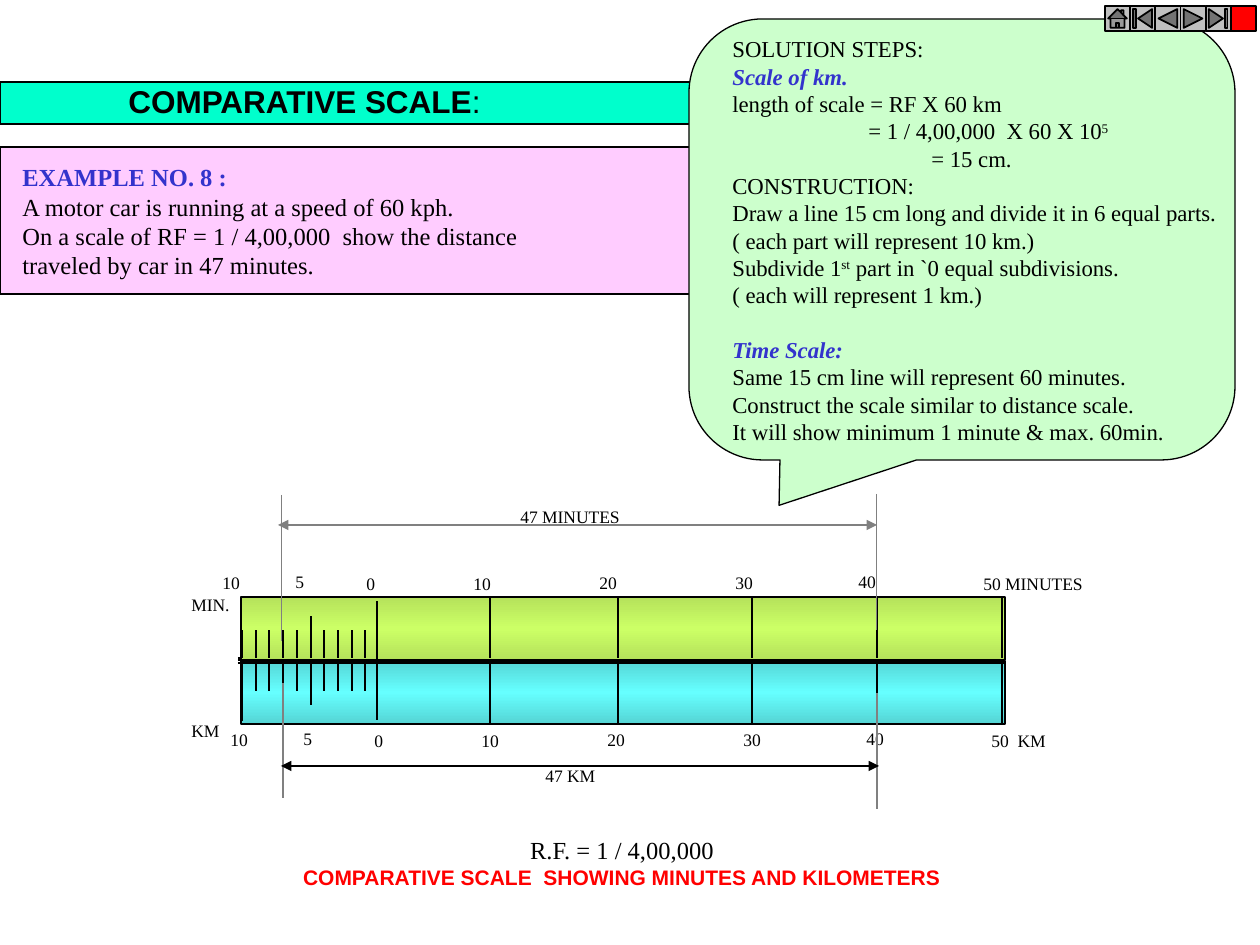
from copy import deepcopy
from dataclasses import dataclass
from typing import NamedTuple

from pptx import Presentation
from pptx.dml.color import RGBColor
from pptx.enum.shapes import MSO_CONNECTOR, MSO_SHAPE
from pptx.enum.text import MSO_AUTO_SIZE, PP_ALIGN
from pptx.oxml.ns import qn
from pptx.util import Pt
from lxml.etree import SubElement

EMU_PER_PX = 914400 / 126


@dataclass(frozen=True)
class Theme:
    serif: str = "Times New Roman"
    sans: str = "Arial"
    ink: str = "000000"
    accent: str = "3333CC"
    alert: str = "FF0000"
    muted: str = "808080"
    button: str = "C0C0C0"
    banner: str = "00FFCC"
    problem: str = "FFCCFF"
    solution: str = "CCFFCC"
    minutes: tuple = ("B5E25B", "CCFF66", "B5E25B")
    km: tuple = ("55D5D5", "66FFFF", "55D5D5")
    title_size: int = 18
    body_size: int = 14
    steps_size: int = 13
    caption_size: int = 12
    label_size: int = 10


class Box(NamedTuple):
    x: int
    y: int
    w: int
    h: int

    def inner(self, dx, dy, w, h):
        return Box(self.x + dx, self.y + dy, w, h)


THEME = Theme()
LABELS = [("10", 0, -1), ("5", 73, -2), ("0", 144, 0), ("10", 251, 0),
          ("20", 377, -1), ("30", 513, -1), ("40", 636, -2)]
MAJOR_TICKS = [249, 377, 511, 636, 761]


def px(value):
    return round(value * EMU_PER_PX)


def rgb(color):
    return RGBColor.from_string(color)


def add_panel(slide, box, kind, fill, weight=0.75):
    panel = slide.shapes.add_shape(kind, *map(px, box))
    panel.shadow.inherit = False
    panel.line.color.rgb = rgb(THEME.ink)
    panel.line.width = Pt(weight)
    if isinstance(fill, str):
        panel.fill.solid()
        panel.fill.fore_color.rgb = rgb(fill)
        return panel
    panel.fill.gradient()
    panel.fill.gradient_angle = 90
    stops = panel._element.spPr.find(qn("a:gradFill")).find(qn("a:gsLst"))
    stops.append(deepcopy(stops[-1]))
    for stop, color, position in zip(panel.fill.gradient_stops, fill, (0, 0.5, 1)):
        stop.color.rgb = rgb(color)
        stop.position = position
    return panel


def add_line(slide, start, end, color=THEME.ink, weight=0.75, arrows=False):
    line = slide.shapes.add_connector(MSO_CONNECTOR.STRAIGHT, *map(px, start + end))
    line.line.color.rgb = rgb(color)
    line.line.width = Pt(weight)
    if arrows:
        for end_tag in ("a:headEnd", "a:tailEnd"):
            SubElement(line._element.spPr.find(qn("a:ln")), qn(end_tag), type="triangle")
    SubElement(line._element.spPr, qn("a:effectLst"))


def add_text_frame(slide, box):
    frame = slide.shapes.add_textbox(*map(px, box)).text_frame
    frame.word_wrap = False
    frame.auto_size = MSO_AUTO_SIZE.SHAPE_TO_FIT_TEXT
    return frame


def write(frame, text, size, font=THEME.serif, color=THEME.ink, bold=False,
          italic=False, align=None, first=False):
    paragraph = frame.paragraphs[0] if first else frame.add_paragraph()
    paragraph.alignment = align
    paragraph.font.name = font
    paragraph.font.size = Pt(size)
    paragraph.font.color.rgb = rgb(color)
    paragraph.font.bold = bold
    paragraph.font.italic = italic
    for index, part in enumerate(text.split("^")):
        if part:
            run = paragraph.add_run()
            run.text = part
            if index % 2:
                run._r.get_or_add_rPr().set("baseline", "30000")
    return paragraph


def add_label(slide, x, y, w, text):
    write(add_text_frame(slide, Box(x, y, w, 34)), text, THEME.label_size, first=True)


def title_banner(slide, box):
    add_panel(slide, box, MSO_SHAPE.RECTANGLE, THEME.banner)
    frame = add_text_frame(slide, box.inner(116, -6, 399, 50))
    title = write(frame, "COMPARATIVE SCALE", THEME.title_size, THEME.sans, first=True)
    title.runs[0].font.bold = True
    title.add_run().text = ":"


def problem_panel(slide, box):
    add_panel(slide, box, MSO_SHAPE.RECTANGLE, THEME.problem)
    frame = add_text_frame(slide, box.inner(10, 9, 527, 130))
    write(frame, "EXAMPLE NO. 8 :", THEME.body_size, color=THEME.accent, bold=True,
          align=PP_ALIGN.JUSTIFY, first=True)
    for text in ("A motor car is running at a speed of 60 kph.",
                 "On a scale of RF = 1 / 4,00,000  show the distance",
                 "traveled by car in 47 minutes."):
        write(frame, text, THEME.body_size, align=PP_ALIGN.JUSTIFY)


def solution_callout(slide, box):
    callout = add_panel(slide, box, MSO_SHAPE.ROUNDED_RECTANGULAR_CALLOUT, THEME.solution)
    for index, value in enumerate((-0.335, 0.603, 0.167)):
        callout.adjustments[index] = value
    frame = add_text_frame(slide, box.inner(31, 10, 510, 423))
    size = THEME.steps_size
    heading = dict(color=THEME.accent, bold=True, italic=True)
    write(frame, "SOLUTION STEPS:", size, first=True)
    write(frame, "Scale of km.", size, **heading)
    write(frame, "length of scale = RF X 60 km", size)
    for text, indent in (("= 1 / 4,00,000  X 60 X 10^5", 136), ("= 15 cm.", 199)):
        write(frame, text, size)._p.get_or_add_pPr().set("marL", str(px(indent)))
    for text in ("CONSTRUCTION:",
                 "Draw a line 15 cm long and divide it in 6 equal parts.",
                 "( each part will represent 10 km.)",
                 "Subdivide 1^st^ part in `0 equal subdivisions.",
                 "( each will represent 1 km.)"):
        write(frame, text, size)
    write(frame, "Time Scale:", size, **heading).space_before = Pt(15.6)
    for text in ("Same 15 cm line will represent 60 minutes.",
                 "Construct the scale similar to distance scale.",
                 "It will show minimum 1 minute & max. 60min."):
        write(frame, text, size)


def scale_bar(slide, box, fill, side, last_label, last_width):
    add_panel(slide, box, MSO_SHAPE.RECTANGLE, fill)
    seam = box.y + box.h + 1 if side < 0 else box.y - 1

    def tick(dx, near, far):
        x = box.x + dx
        add_line(slide, (x, seam + side * near), (x, seam + side * far), weight=1.5)

    for part in range(10):
        tick(round(1 + part * 13.7), 3, 45 if part == 5 else 31)
    tick(136, -2, 60)
    for dx in MAJOR_TICKS:
        tick(dx, 3, 63)
    left, top = (box.x - 31, box.y - 30) if side < 0 else (box.x - 23, box.y + box.h)
    for text, dx, dy in LABELS + [(last_label, 761, 0)]:
        width = last_width if text == last_label else 25 + 9 * len(text)
        add_label(slide, left + dx, top + dy, width, text)


def comparative_scale(slide, box):
    x, y, w, h = box
    bar_height = 63
    scale_bar(slide, box.inner(0, h - bar_height, w, bar_height), THEME.km, 1, "50  KM", 79)
    add_line(slide, (x - 3, y + 61), (x + w, y + 61))
    scale_bar(slide, box.inner(0, 0, w, bar_height), THEME.minutes, -1, "50 MINUTES", 125)
    for seam in (63, 66):
        add_line(slide, (x - 3, y + seam), (x + w, y + seam))
    add_line(slide, (x + 1, y + 65), (x + 1, y + 124), weight=1.5)
    add_label(slide, x - 62, y - 9, 64, "MIN.")
    add_label(slide, x - 62, y + 117, 54, "KM")


def dimension(slide, box, extensions, color, weight, text, dx, dy, width):
    for x, start, end in extensions:
        add_line(slide, (box.x + x, box.y + start), (box.x + x, box.y + end),
                 THEME.muted, weight)
    add_line(slide, (box.x, box.y), (box.x + box.w, box.y), color, arrows=True)
    add_label(slide, box.x + dx, box.y + dy, width, text)


def caption(slide, box):
    frame = add_text_frame(slide, box)
    write(frame, "R.F. = 1 / 4,00,000", THEME.body_size, align=PP_ALIGN.CENTER, first=True)
    write(frame, "COMPARATIVE SCALE  SHOWING MINUTES AND KILOMETERS", THEME.caption_size,
          THEME.sans, THEME.alert, bold=True, align=PP_ALIGN.CENTER)


def navigation(slide, box):
    buttons = (MSO_SHAPE.ACTION_BUTTON_HOME, MSO_SHAPE.ACTION_BUTTON_BEGINNING,
               MSO_SHAPE.ACTION_BUTTON_BACK_OR_PREVIOUS,
               MSO_SHAPE.ACTION_BUTTON_FORWARD_OR_NEXT,
               MSO_SHAPE.ACTION_BUTTON_END, MSO_SHAPE.ACTION_BUTTON_CUSTOM)
    side = box.w / len(buttons)
    for index, kind in enumerate(buttons):
        fill = THEME.alert if kind == MSO_SHAPE.ACTION_BUTTON_CUSTOM else THEME.button
        add_panel(slide, box.inner(index * side, 0, side, box.h), kind, fill, weight=1)


def main():
    deck = Presentation()
    deck.slide_width, deck.slide_height = px(1260), px(945)
    slide = deck.slides.add_slide(deck.slide_layouts[6])
    title_banner(slide, Box(0, 82, 703, 42))
    problem_panel(slide, Box(0, 147, 693, 147))
    solution_callout(slide, Box(689, 19, 546, 441))
    comparative_scale(slide, Box(241, 597, 764, 127))
    dimension(slide, Box(278, 525, 599, 0), [(3, -30, 116), (598, -31, 105)],
              THEME.muted, 0.25, "47 MINUTES", 230, -25, 125)
    dimension(slide, Box(281, 766, 598, 0), [(2, -83, 32), (596, -73, 43)],
              THEME.ink, 0.75, "47 KM", 252, -7, 76)
    caption(slide, Box(288, 829, 668, 67))
    navigation(slide, Box(1105, 6, 151, 25))
    deck.save("out.pptx")


if __name__ == "__main__":
    main()
